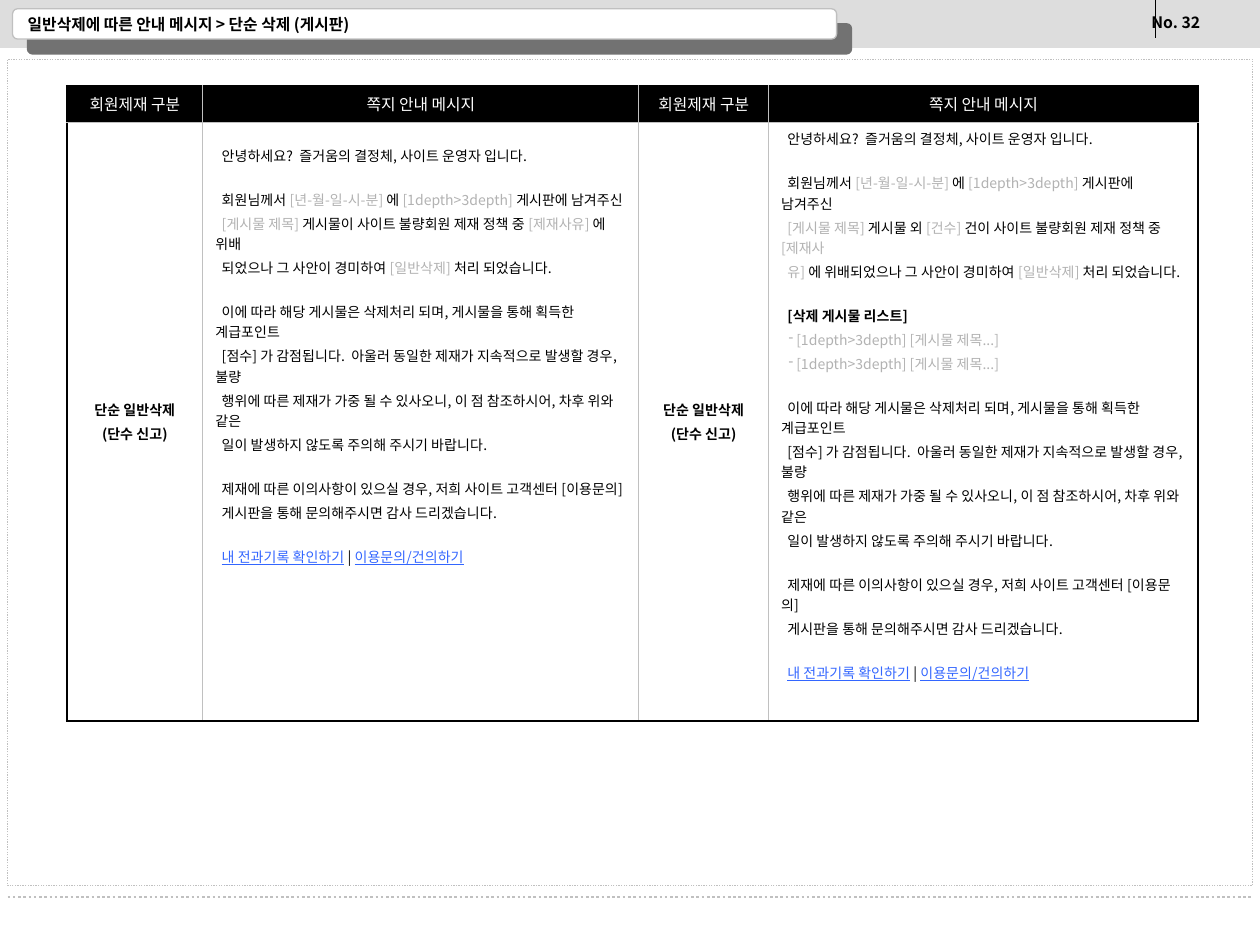
from dataclasses import dataclass

from lxml import etree
from pptx import Presentation
from pptx.dml.color import RGBColor
from pptx.enum.dml import MSO_LINE
from pptx.enum.shapes import MSO_CONNECTOR, MSO_SHAPE
from pptx.enum.text import MSO_ANCHOR, MSO_AUTO_SIZE, PP_ALIGN
from pptx.oxml.ns import qn
from pptx.util import Inches, Pt

RECT, ROUND = MSO_SHAPE.RECTANGLE, MSO_SHAPE.ROUNDED_RECTANGLE
LINE = MSO_CONNECTOR.STRAIGHT
DOTS = MSO_LINE.ROUND_DOT
LEFT, MID = PP_ALIGN.LEFT, PP_ALIGN.CENTER
TOP, CENTER = MSO_ANCHOR.TOP, MSO_ANCHOR.MIDDLE
NO_FIT = MSO_AUTO_SIZE.NONE


@dataclass(frozen=True)
class Theme:
    font: str = "Noto Sans CJK KR"
    black: str = "000000"
    white: str = "FFFFFF"
    band: str = "DDDDDD"
    rule: str = "C0C0C0"
    shade: str = "727272"
    dim: str = "B2B2B2"
    link: str = "3366FF"
    head: float = 9
    body: float = 8
    lead: float = 2
    gap: float = 13.5
    thin: float = 0.45
    thick: float = 1.08


THEME = Theme()


def dim(text):
    return text, "dim"


def link(text):
    return text, "link"


TITLE = "일반삭제에 따른 안내 메시지 > 단순 삭제 (게시판)"
HEADS = ["회원제재 구분", "쪽지 안내 메시지"] * 2
WIDTHS = [1.08, 3.46, 1.03, 3.41]
HEIGHTS = [0.29, 4.75]
KIND = ["단순 일반삭제", "(단수 신고)"]
HELLO = [["안녕하세요?  즐거움의 결정체, 사이트 운영자 입니다."]]
WHEN = ["회원님께서 ", dim("[년-월-일-시-분] "), "에 ",
        dim("[1depth>3depth] "), "게시판에 남겨주신"]
DONE = [dim("[일반삭제] "), "처리 되었습니다."]
CLOSE = [
    [["이에 따라 해당 게시물은 삭제처리 되며, 게시물을 통해 획득한 계급포인트"],
     ["[점수] 가 감점됩니다.  아울러 동일한 제재가 지속적으로 발생할 경우, 불량"],
     ["행위에 따른 제재가 가중 될 수 있사오니, 이 점 참조하시어, 차후 위와 같은"],
     ["일이 발생하지 않도록 주의해 주시기 바랍니다."]],
    [["제재에 따른 이의사항이 있으실 경우, 저희 사이트 고객센터 [이용문의]"],
     ["게시판을 통해 문의해주시면 감사 드리겠습니다."]],
    [[link("내 전과기록 확인하기"), " | ", link("이용문의/건의하기")]],
]
SINGLE = [
    HELLO,
    [WHEN,
     [dim("[게시물 제목] "), "게시물이 사이트 불량회원 제재 정책 중 ",
      dim("[제재사유] "), "에 위배"],
     ["되었으나 그 사안이 경미하여 ", *DONE]],
    *CLOSE,
]
ITEM = [("[1depth>3depth] [게시물 제목...]", "item")]
MULTI = [
    HELLO,
    [WHEN,
     [dim("[게시물 제목] "), "게시물 외 ", dim("[건수] "),
      "건이 사이트 불량회원 제재 정책 중 ", dim("[제재사")],
     [dim("유] "), "에 위배되었으나 그 사안이 경미하여 ", *DONE]],
    [[("[삭제 게시물 리스트]", "bold")], ITEM, ITEM],
    *CLOSE,
]


def rgb(code):
    return RGBColor.from_string(code)


def node(up, tag, **keys):
    return etree.SubElement(up, qn(tag), {k: str(v) for k, v in keys.items()})


def tint(up, code):
    node(node(up, "a:solidFill"), "a:srgbClr", val=code)


def style(para, size, color, bold=False, align=LEFT):
    para.alignment = align
    font = para.font
    font.name, font.size, font.bold = THEME.font, Pt(size), bold
    font.color.rgb = rgb(color)
    node(para._p.pPr.find(qn("a:defRPr")), "a:ea", typeface=THEME.font)


def paras(frame, count):
    return [frame.paragraphs[0]] + [frame.add_paragraph() for _ in range(count - 1)]


def add_box(slide, kind, place, fill, line=None, dash=None):
    box = slide.shapes.add_shape(kind, *map(Inches, place))
    box.shadow.inherit = False
    box.fill.solid()
    box.fill.fore_color.rgb = rgb(fill)
    if line:
        box.line.color.rgb = rgb(line)
        box.line.width = Pt(0.75)
        box.line.dash_style = dash
    else:
        box.line.fill.background()
    return box


def add_line(slide, ends, color, width, dash=None):
    line = slide.shapes.add_connector(LINE, *map(Inches, ends))
    line.line.color.rgb = rgb(color)
    line.line.width = Pt(width)
    line.line.dash_style = dash
    node(line._element.spPr, "a:effectLst")


def add_shade(box):
    shade = node(box._element.spPr.find(qn("a:effectLst")), "a:outerShdw",
                 blurRad=0, dist=Pt(12.1), dir=45 * 60000, algn="ctr", rotWithShape=0)
    node(shade, "a:srgbClr", val=THEME.shade)


def add_title(slide):
    title = slide.shapes.title
    title.left, title.top, title.width, title.height = map(Inches, (0.12, 0.1, 5.42, 0.18))
    frame = title.text_frame
    frame.text = TITLE
    frame.auto_size, frame.vertical_anchor = NO_FIT, CENTER
    style(frame.paragraphs[0], THEME.head, THEME.black, True)
    slide.shapes.element.append(title.element)


def add_page(slide):
    box = slide.shapes.add_textbox(*map(Inches, (9.04, 0.05, 1.08, 0.28)))
    box.text_frame.word_wrap = False
    box.text_frame.text = "No. 32"
    style(box.text_frame.paragraphs[0], THEME.head, THEME.black, True)


def fill_lines(cell, lines, size, color, bold):
    cell.vertical_anchor = CENTER
    for i, (para, text) in enumerate(zip(paras(cell.text_frame, len(lines)), lines)):
        para.text = text
        para.space_before = Pt(THEME.lead if i else 0)
        style(para, size, color, bold, MID)


def fill_note(cell, groups, top):
    cell.vertical_anchor, cell.margin_top = TOP, Inches(top)
    rows = [(part, i == 0) for group in groups for i, part in enumerate(group)]
    for n, (para, (parts, first)) in enumerate(zip(paras(cell.text_frame, len(rows)), rows)):
        para.space_before = Pt((THEME.gap if first else THEME.lead) if n else 0)
        fill_runs(para, [(p, "") if isinstance(p, str) else p for p in parts])


def fill_runs(para, parts):
    item = parts[0][1] == "item"
    prop = para._p.get_or_add_pPr()
    prop.set("marL", str(Inches(0.12 if item else 0)))
    prop.set("indent", str(Inches(-0.06 if item else 0.05)))
    if item:
        node(node(prop, "a:buClr"), "a:srgbClr", val=THEME.dim)
        node(prop, "a:buChar", char="-")
    style(para, THEME.body, THEME.dim if item else THEME.black)
    for text, kind in parts:
        run = para.add_run()
        run.text = text
        if kind in ("dim", "link"):
            run.font.color.rgb = rgb(getattr(THEME, kind))
        if kind == "link":
            run.font.underline = True
        if kind == "bold":
            run.font.bold = True


def finish(cell, fill, outer):
    prop = cell._tc.get_or_add_tcPr()
    for side, edge in outer.items():
        line = node(prop, "a:ln" + side, w=Pt(THEME.thick if edge else THEME.thin))
        tint(line, THEME.black if edge else THEME.rule)
    cell.fill.solid()
    cell.fill.fore_color.rgb = rgb(fill)


def add_grid(slide):
    place = (0.53, 0.68, sum(WIDTHS), sum(HEIGHTS))
    grid = slide.shapes.add_table(2, 4, *map(Inches, place)).table
    grid.first_row = grid.horz_banding = False
    plain = "{2D5ABB26-0587-4C30-8999-92F81FD0307C}"
    grid._tbl.tblPr.find(qn("a:tableStyleId")).text = plain
    for row, high in zip(grid.rows, HEIGHTS):
        row.height = Inches(high)
    for c, (wide, head) in enumerate(zip(WIDTHS, HEADS)):
        grid.columns[c].width = Inches(wide)
        fill_lines(grid.cell(0, c), [head], THEME.head, THEME.white, False)
        for r, fill in enumerate((THEME.black, THEME.white)):
            finish(grid.cell(r, c), fill, {"L": c == 0, "R": c == 3, "T": r == 0, "B": r == 1})
    for c, note, top in ((0, SINGLE, 0.18), (2, MULTI, 0.05)):
        fill_lines(grid.cell(1, c), KIND, THEME.body, THEME.black, True)
        fill_note(grid.cell(1, c + 1), note, top)


def main():
    deck = Presentation()
    deck.slide_width, deck.slide_height = Inches(10), Inches(7.5)
    slide = deck.slides.add_slide(deck.slide_layouts[5])
    add_box(slide, RECT, (0, 0, 10, 0.38), THEME.band)
    add_line(slide, (9.17, 0, 9.17, 0.3), THEME.black, 0.75)
    add_page(slide)
    add_shade(add_box(slide, ROUND, (0.1, 0.07, 6.54, 0.24), THEME.white, THEME.rule))
    add_line(slide, (0.06, 7.12, 9.94, 7.12), THEME.rule, 1.5, DOTS)
    add_title(slide)
    add_box(slide, RECT, (0.06, 0.47, 9.88, 6.56), THEME.white, THEME.rule, DOTS)
    add_grid(slide)
    deck.save("out.pptx")


if __name__ == "__main__":
    main()
